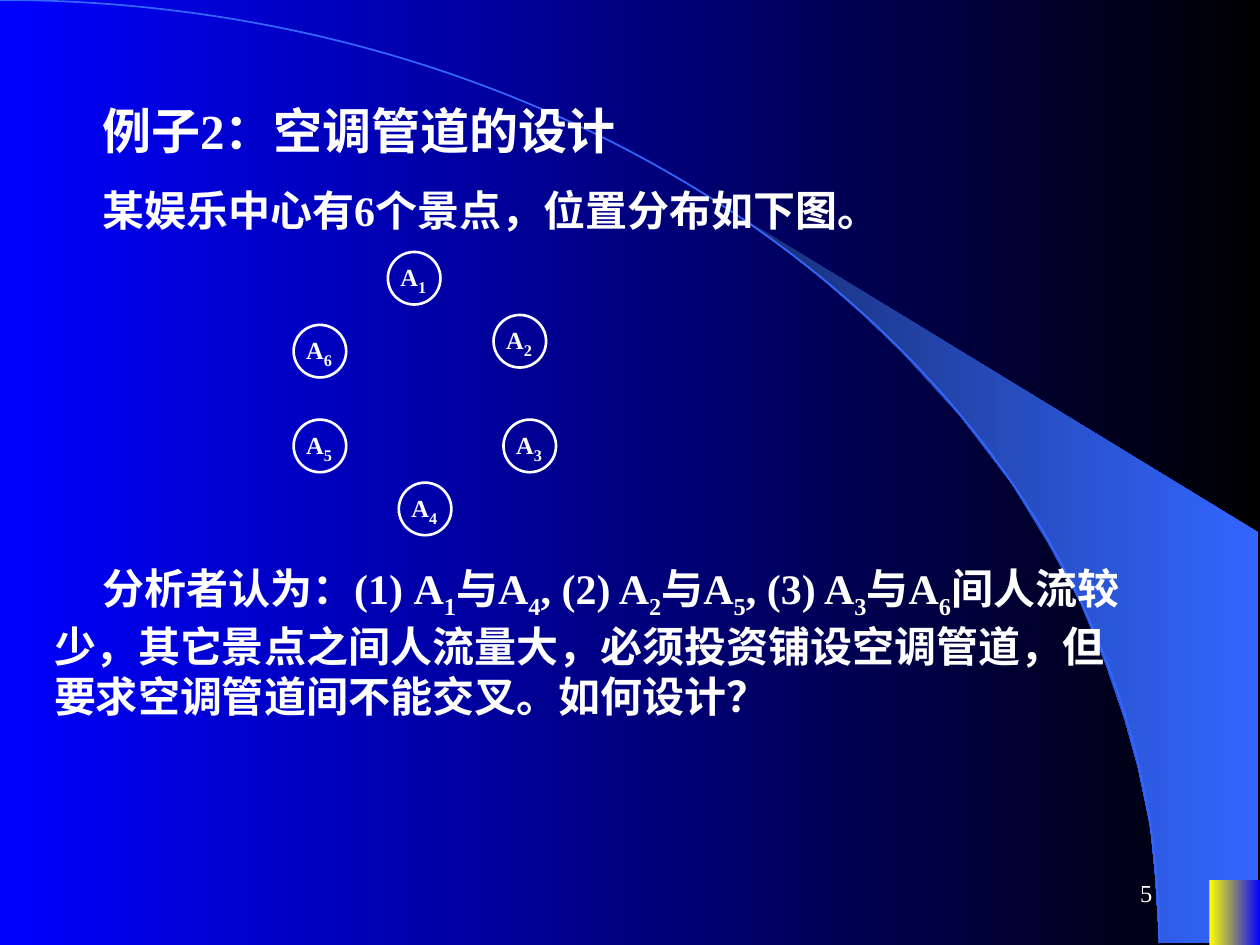
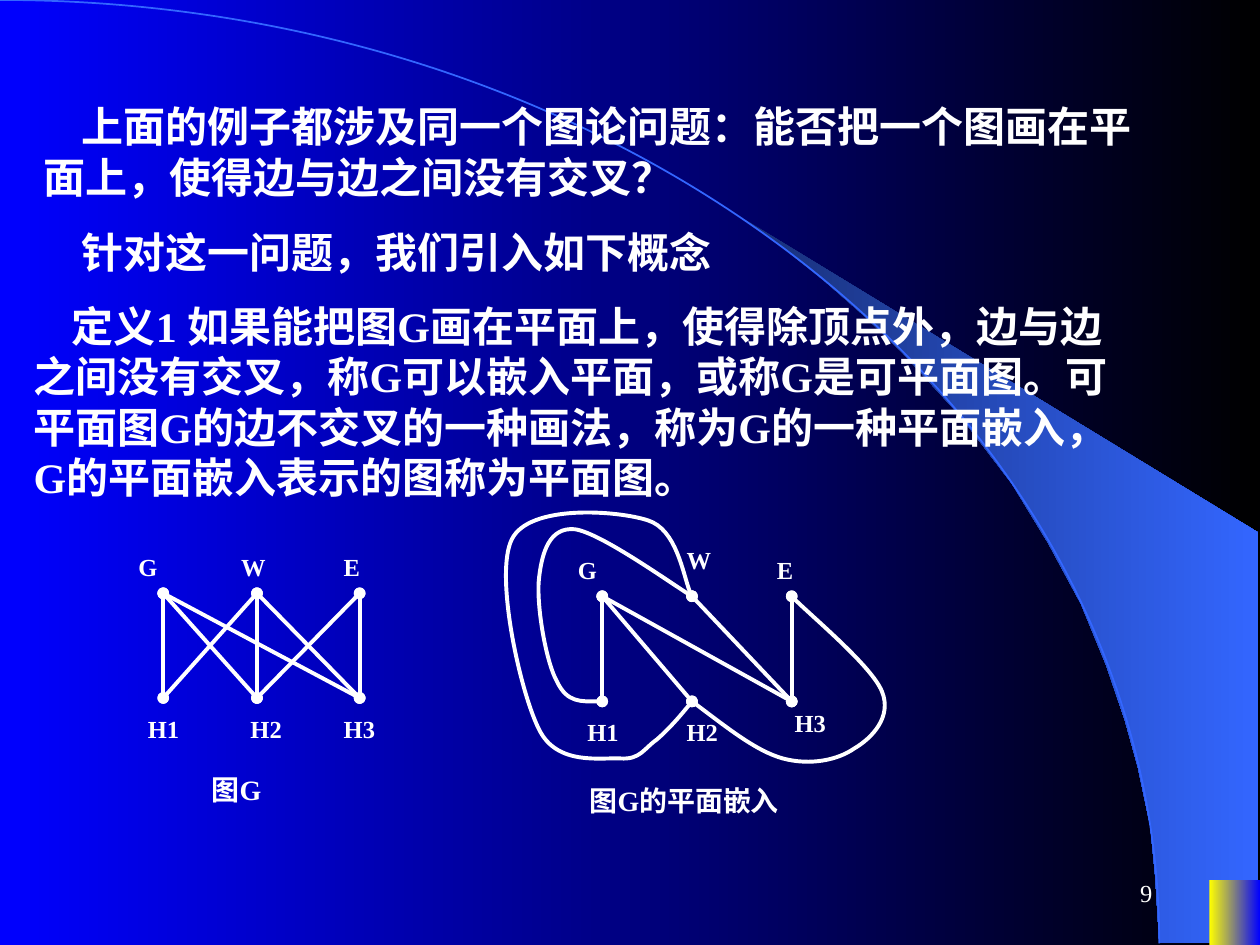
from collections import namedtuple

from lxml import etree
from pptx import Presentation
from pptx.dml.color import RGBColor
from pptx.enum.lang import MSO_LANGUAGE_ID as LANG
from pptx.enum.shapes import MSO_CONNECTOR as CONN, MSO_SHAPE as SHAPE
from pptx.enum.text import MSO_ANCHOR as ANCHOR, PP_ALIGN as ALIGN
from pptx.oxml.ns import qn
from pptx.util import Cm, Pt

WHITE = RGBColor(0xFF, 0xFF, 0xFF)
BLACK = RGBColor(0x00, 0x00, 0x00)
BLUE = RGBColor(0x00, 0x00, 0xFF)
YELLOW = RGBColor(0xFF, 0xFF, 0x00)
SKY = RGBColor(0x33, 0x66, 0xFF)
NAVY = RGBColor(0x18, 0x2F, 0x76)
FONT = "Times New Roman"

Box = namedtuple("Box", "x y w h")  # all in cm

# Shared decoration: Bezier points of the arc and outline of the sweep
ARC = [(0, 0), (12.9, 0), (23.37, 8.51), (23.37, 19.02)]
SWEEP = [(23.37, 19), (25.37, 19.02), (25.37, 10.74), (14.96, 4.39), (15.85, 5.05),
         (16.59, 5.64), (17.4, 6.35), (18.19, 7.11), (19.35, 8.38), (20.4, 9.75),
         (21.13, 10.95), (21.79, 12.17), (22.3, 13.41), (22.68, 14.53),
         (22.94, 15.47), (23.19, 16.66), (23.29, 17.68)]

# Attractions, relative to the map
SPOT_SIZE = 1.06
SPOTS = [(1.9, 0), (4.03, 1.27), (4.23, 3.38), (2.12, 4.65), (0, 3.38), (0, 1.47)]

# Graph G: vertices, labels and edges, relative to its box
G_VERTICES = {"G": (0.75, 0.96), "W": (2.64, 0.96), "E": (4.71, 0.96),
              "H1": (0.75, 3.07), "H2": (2.64, 3.07), "H3": (4.71, 3.07)}
G_LABELS = {"G": (0, 0), "W": (2.07, 0), "E": (4.14, 0),
            "H1": (0.19, 3.26), "H2": (2.26, 3.26), "H3": (4.14, 3.26)}
G_EDGES = ["G-H1", "W-H2", "E-H3", "G-H2", "G-H3", "W-H1", "W-H3", "E-H2"]

# Planar embedding of G: a curved edge lists its Bezier points after the start
PLANAR_VERTICES = {"G": (2.18, 1.86), "W": (3.99, 1.86), "E": (6, 1.86),
                   "H1": (2.18, 3.98), "H2": (3.99, 3.98), "H3": (6, 3.98)}
PLANAR_LABELS = {"G": (1.44, 0.9), "W": (3.63, 0.71), "E": (5.45, 0.9),
                 "H1": (1.63, 4.17), "H2": (3.63, 4.17), "H3": (5.81, 3.99)}
PLANAR_EDGES = ["G-H1", "E-H3", "G-H2", "G-H3", "W-H3"]
PLANAR_CURVES = {
    "H1-W": [(1.83, 3.98), (1.47, 4.01), (1.27, 3.58),
             (1.04, 3.18), (0.84, 1.98), (0.91, 1.47),
             (0.97, 0.97), (1.12, 0.46), (1.63, 0.51),
             (2.13, 0.58), (3.61, 1.63), (3.99, 1.86)],
    "H2-W": [(3.76, 4.27), (3.51, 4.55), (3.28, 4.75),
             (3.02, 4.93), (2.95, 5.16), (2.54, 5.13),
             (2.16, 5.11), (1.27, 5.28), (0.91, 4.55),
             (0.53, 3.81), (0, 1.42), (0.36, 0.71),
             (0.71, 0), (2.49, 0.13), (3.1, 0.33),
             (3.68, 0.51), (3.84, 1.6), (3.99, 1.86)],
    "H2-E": [(4.65, 4.47), (5.28, 4.98), (5.82, 5.13),
             (6.38, 5.28), (6.93, 5.16), (7.26, 4.93),
             (7.62, 4.72), (8.03, 4.29), (7.82, 3.78),
             (7.62, 3.28), (6.3, 2.18), (6, 1.86)],
}


def cm_box(box):
    return [Cm(v) for v in box]


def set_gradient(fill, start, end):
    """Left-to-right gradient between two colours."""
    fill.gradient()
    fill.gradient_angle = 0
    for stop, color, position in zip(fill.gradient_stops, (start, end), (0, 1)):
        stop.color.rgb = color
        stop.position = position


def set_line(sp, color, width, dots=False):
    sp.line.color.rgb = color
    sp.line.width = Pt(width)
    if dots:
        ln = sp.line._get_or_add_ln()
        for end in ("a:headEnd", "a:tailEnd"):
            etree.SubElement(ln, qn(end)).set("type", "oval")


def write(tf, text, size=24, sub_size=None, bold=True, align=ALIGN.LEFT,
          anchor=ANCHOR.TOP, indent=0):
    """Fill a text frame; the character after each underscore is a subscript."""
    tf.word_wrap = True
    tf.vertical_anchor = anchor
    p = tf.paragraphs[0]
    p.alignment = align
    pPr = p._p.get_or_add_pPr()
    pPr.set("hangingPunct", "0")
    if indent:
        pPr.set("indent", str(Cm(indent)))
    first, *rest = text.split("_")
    pieces = [(first, False)]
    for part in rest:
        pieces += [(part[0], True), (part[1:], False)]
    for piece, is_sub in pieces:
        if not piece:
            continue
        r = p.add_run()
        r.text = piece
        r.font.name = FONT
        r.font.size = Pt(sub_size or size) if is_sub else Pt(size)
        r.font.bold = bold
        r.font.color.rgb = WHITE
        r.font.language_id = LANG.SIMPLIFIED_CHINESE
        if is_sub:
            r._r.get_or_add_rPr().set("baseline", "-25000")


def add_text(slide, box, text, **fmt):
    write(slide.shapes.add_textbox(*cm_box(box)).text_frame, text, **fmt)


def add_outline(slide, box, points, close):
    points = [(Cm(box.x + x), Cm(box.y + y)) for x, y in points]
    fb = slide.shapes.build_freeform(*points[0], scale=1.0)
    fb.add_line_segments(points[1:], close=close)
    sp = fb.convert_to_shape()
    sp.shadow.inherit = False
    return sp


def add_curve(slide, box, points, color, width, dots=False):
    """Open curve: every three points after the first make one Bezier segment."""
    sp = add_outline(slide, box, points, close=False)
    lines = list(sp._element.iter(qn("a:lnTo")))
    for i in range(0, len(lines), 3):
        bezier = etree.Element(qn("a:cubicBezTo"))
        lines[i].addprevious(bezier)
        for line in lines[i:i + 3]:
            bezier.append(line[0])
            line.getparent().remove(line)
    sp.fill.background()
    set_line(sp, color, width, dots)


def add_edge(slide, box, start, end):
    (x1, y1), (x2, y2) = start, end
    line = slide.shapes.add_connector(CONN.STRAIGHT, Cm(box.x + x1), Cm(box.y + y1),
                                      Cm(box.x + x2), Cm(box.y + y2))
    set_line(line, WHITE, 2.25, dots=True)
    etree.SubElement(line._element.spPr, qn("a:effectLst"))


def decorate(slide, box, number):
    """Sweep, arc, corner block and page number."""
    sweep = add_outline(slide, box, SWEEP, close=True)
    set_gradient(sweep.fill, NAVY, SKY)
    sweep.line.fill.background()
    add_curve(slide, box, ARC, SKY, 1)

    w, h = 1.02, 1.31
    corner = slide.shapes.add_shape(SHAPE.RECTANGLE, *cm_box(
        (box.x + box.w - w, box.y + box.h - h, w, h)))
    corner.shadow.inherit = False
    set_gradient(corner.fill, YELLOW, BLUE)
    corner.line.fill.background()
    add_text(slide, Box(box.x + 18.2, box.y + 17.36, 5.28, 1.27), str(number),
             size=14, bold=False, align=ALIGN.RIGHT, anchor=ANCHOR.MIDDLE)


def add_spot_map(slide, box):
    for i, (x, y) in enumerate(SPOTS, 1):
        sp = slide.shapes.add_shape(SHAPE.OVAL, *cm_box(
            (box.x + x, box.y + y, SPOT_SIZE, SPOT_SIZE)))
        sp.shadow.inherit = False
        sp.fill.background()
        set_line(sp, WHITE, 1.5)
        tf = sp.text_frame
        tf.margin_left = tf.margin_top = 0
        tf.margin_right = tf.margin_bottom = Cm(0.03)
        write(tf, f"A_{i}", size=14, sub_size=16, align=ALIGN.CENTER,
              anchor=ANCHOR.MIDDLE)


def add_graph(slide, box, vertices, labels, edges, caption, caption_x, curves=None):
    """Labelled graph with its caption along the bottom of the box."""
    for edge in edges:
        start, end = edge.split("-")
        add_edge(slide, box, vertices[start], vertices[end])
    for edge, points in (curves or {}).items():
        start = edge.split("-")[0]
        add_curve(slide, box, [vertices[start], *points], WHITE, 2.25, dots=True)
    for name, (x, y) in labels.items():
        add_text(slide, Box(box.x + x, box.y + y, 1.34, 0.86), name, size=14)
    caption_h = 0.94
    add_text(slide, Box(box.x + caption_x, box.y + box.h - caption_h,
                        box.w - caption_x, caption_h), caption, size=16)


def build_duct_example(slide, box):
    x, y = box.x + 0.84, box.y
    add_text(slide, Box(x, y + 1.9, 20.96, 1.45), "例子2：空调管道的设计",
             size=28, indent=0.97)
    add_text(slide, Box(x, y + 3.6, 22.43, 1.27),
             "某娱乐中心有6个景点，位置分布如下图。", indent=0.97)
    add_spot_map(slide, Box(box.x + 5.92, y + 5.08, 5.29, 5.71))
    add_text(slide, Box(x, y + 11.22, 22.43, 3.45),
             "分析者认为：(1) A_1与A_4, (2) A_2与A_5, (3) A_3与A_6间人流较少，"
             "其它景点之间人流量大，必须投资铺设空调管道，但要求空调管道间不能交叉。"
             "如何设计？", indent=0.97)


def build_planar_definition(slide, box):
    x, y = box.x, box.y
    add_text(slide, Box(x + 0.63, y + 1.91, 22.46, 2.29),
             "上面的例子都涉及同一个图论问题：能否把一个图画在平面上，"
             "使得边与边之间没有交叉？", indent=0.77)
    add_text(slide, Box(x + 0.63, y + 4.44, 22.46, 1.27),
             "针对这一问题，我们引入如下概念", indent=0.77)
    add_text(slide, Box(x + 0.43, y + 5.93, 22.43, 4.32),
             "定义1 如果能把图G画在平面上，使得除顶点外，边与边之间没有交叉，"
             "称G可以嵌入平面，或称G是可平面图。可平面图G的边不交叉的一种画法，"
             "称为G的一种平面嵌入，G的平面嵌入表示的图称为平面图。", indent=0.77)
    add_graph(slide, Box(x + 2.54, y + 11, 5.48, 5.38), G_VERTICES, G_LABELS,
              G_EDGES, "图G", 1.48)
    add_graph(slide, Box(x + 9.96, y + 10.16, 8.02, 6.45), PLANAR_VERTICES,
              PLANAR_LABELS, PLANAR_EDGES, "图G的平面嵌入", 1.68, PLANAR_CURVES)


def main():
    prs = Presentation()
    page = Box(0, 0, 25.4, 19.05)
    prs.slide_width, prs.slide_height = Cm(page.w), Cm(page.h)
    set_gradient(prs.slide_master.background.fill, BLUE, BLACK)
    for number, build in ((5, build_duct_example), (9, build_planar_definition)):
        slide = prs.slides.add_slide(prs.slide_layouts[6])
        decorate(slide, page, number)
        build(slide, page)
    prs.save("out.pptx")


if __name__ == "__main__":
    main()
